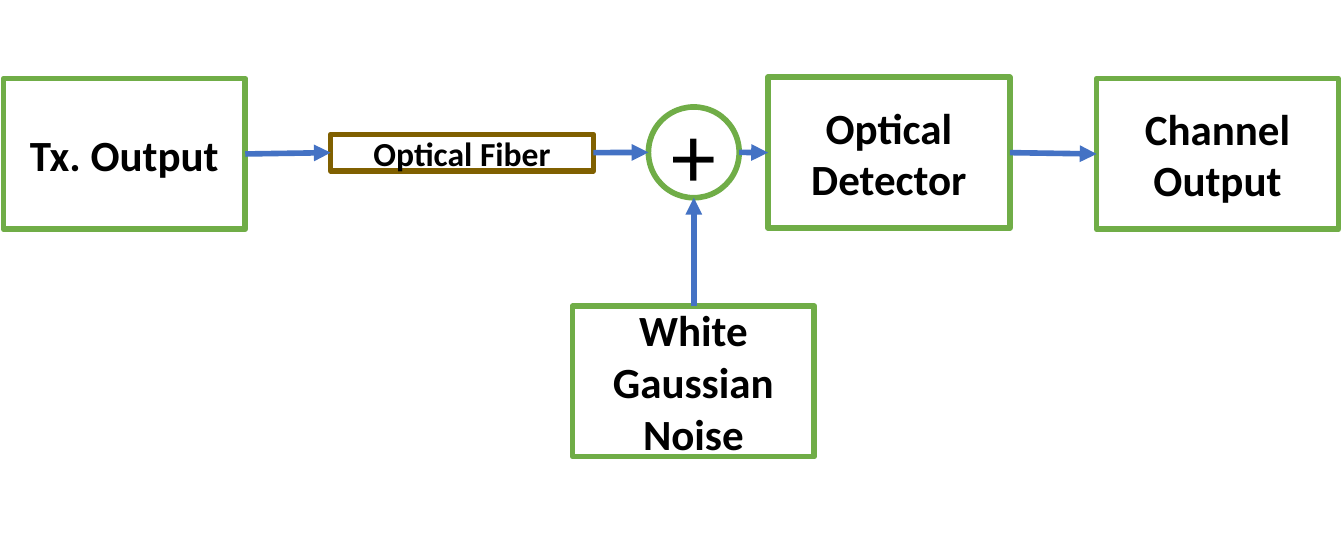
from lxml.etree import SubElement
from pptx import Presentation
from pptx.dml.color import RGBColor
from pptx.enum.shapes import MSO_CONNECTOR, MSO_SHAPE
from pptx.enum.text import MSO_ANCHOR, PP_ALIGN
from pptx.oxml.ns import qn
from pptx.util import Cm, Pt

GREEN, BROWN, BLUE = "70AD47", "806000", "4472C4"
BOX_W, BOX_H = 9.14, 5.69
LINE_WIDTH = Pt(6)


def color(value):
    return RGBColor.from_string(value)


def add_node(slide, text, left, top, width=BOX_W, height=BOX_H,
             kind=MSO_SHAPE.RECTANGLE, line=GREEN, size=46.1, bold=True):
    """Add a white outlined shape with centred text."""
    sp = slide.shapes.add_shape(kind, Cm(left), Cm(top), Cm(width), Cm(height))
    sp.shadow.inherit = False
    sp.fill.solid()
    sp.fill.fore_color.rgb = color("FFFFFF")
    sp.line.color.rgb = color(line)
    sp.line.width = LINE_WIDTH
    tf = sp.text_frame
    tf.word_wrap = True
    tf.vertical_anchor = MSO_ANCHOR.MIDDLE
    p = tf.paragraphs[0]
    p.alignment = PP_ALIGN.CENTER
    r = p.add_run()
    r.text = text
    r.font.name = "Calibri"
    r.font.size = Pt(size)
    r.font.bold = bold
    r.font.color.rgb = color("000000")
    return sp


def add_arrow(slide, start, end):
    """Add a straight arrow between two points."""
    cxn = slide.shapes.add_connector(MSO_CONNECTOR.STRAIGHT, *start, *end)
    cxn.line.color.rgb = color(BLUE)
    cxn.line.width = LINE_WIDTH
    SubElement(cxn.line._get_or_add_ln(), qn("a:tailEnd"), type="triangle")
    SubElement(cxn._element.spPr, qn("a:effectLst"))


def mid_x(sp):
    return sp.left + sp.width // 2


def mid_y(sp):
    return sp.top + sp.height // 2


def main():
    prs = Presentation()
    prs.slide_width, prs.slide_height = Cm(50.8), Cm(20.32)
    slide = prs.slides.add_slide(prs.slide_layouts[6])

    # Blocks of the channel model
    tx = add_node(slide, "Tx. Output", 0.13, 2.97)
    detector = add_node(slide, "Optical Detector", 29.03, 2.92)
    output = add_node(slide, "Channel Output", 41.45, 2.97)
    noise = add_node(slide, "White Gaussian Noise", 21.64, 11.56)
    adder = add_node(slide, "+", 24.51, 4.04, 3.43, 3.43,
                     kind=MSO_SHAPE.OVAL, size=96, bold=False)
    fiber = add_node(slide, "Optical Fiber", 12.5, 5.08, 9.93, 1.37,
                     line=BROWN, size=36)

    # Signal path, left to right
    chain = [tx, fiber, adder, detector, output]
    for a, b in zip(chain, chain[1:]):
        add_arrow(slide, (a.left + a.width, mid_y(a)), (b.left, mid_y(b)))

    # Noise enters the adder from below
    add_arrow(slide, (mid_x(adder), noise.top),
              (mid_x(adder), adder.top + adder.height))

    prs.save("out.pptx")


if __name__ == "__main__":
    main()
